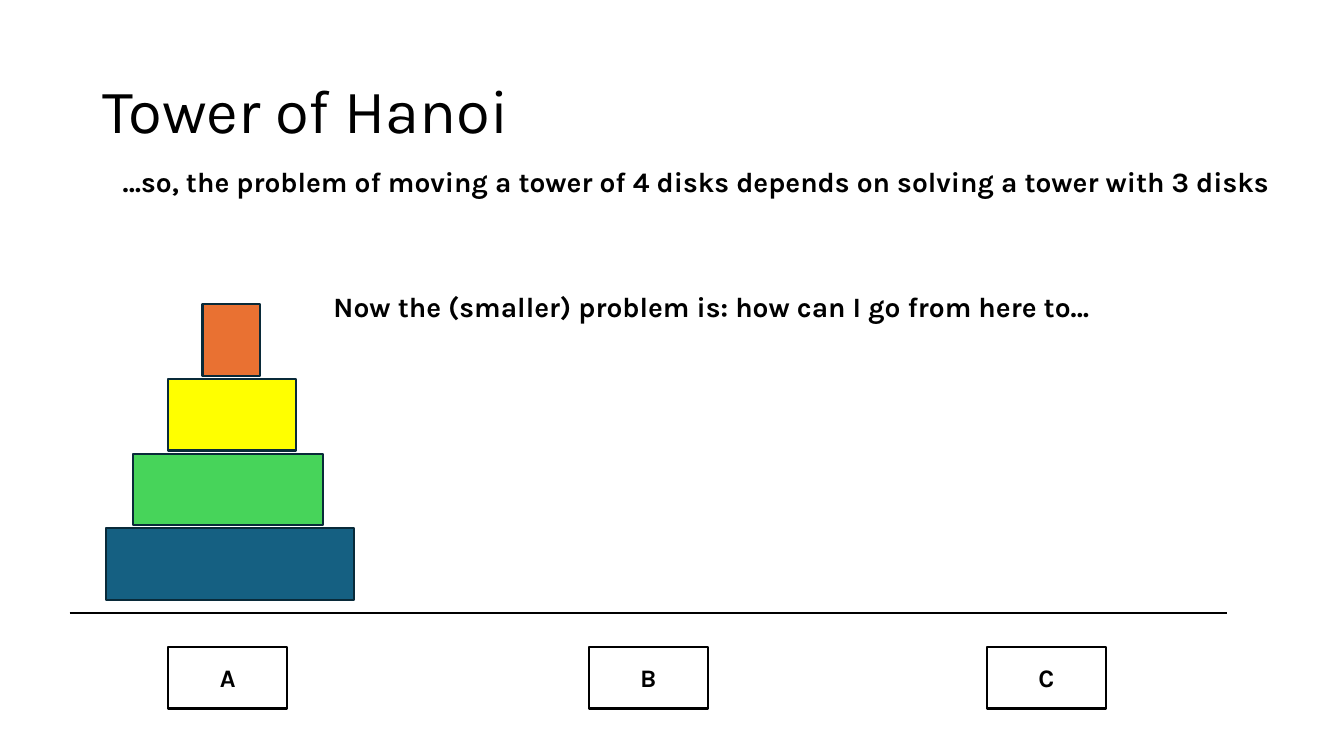
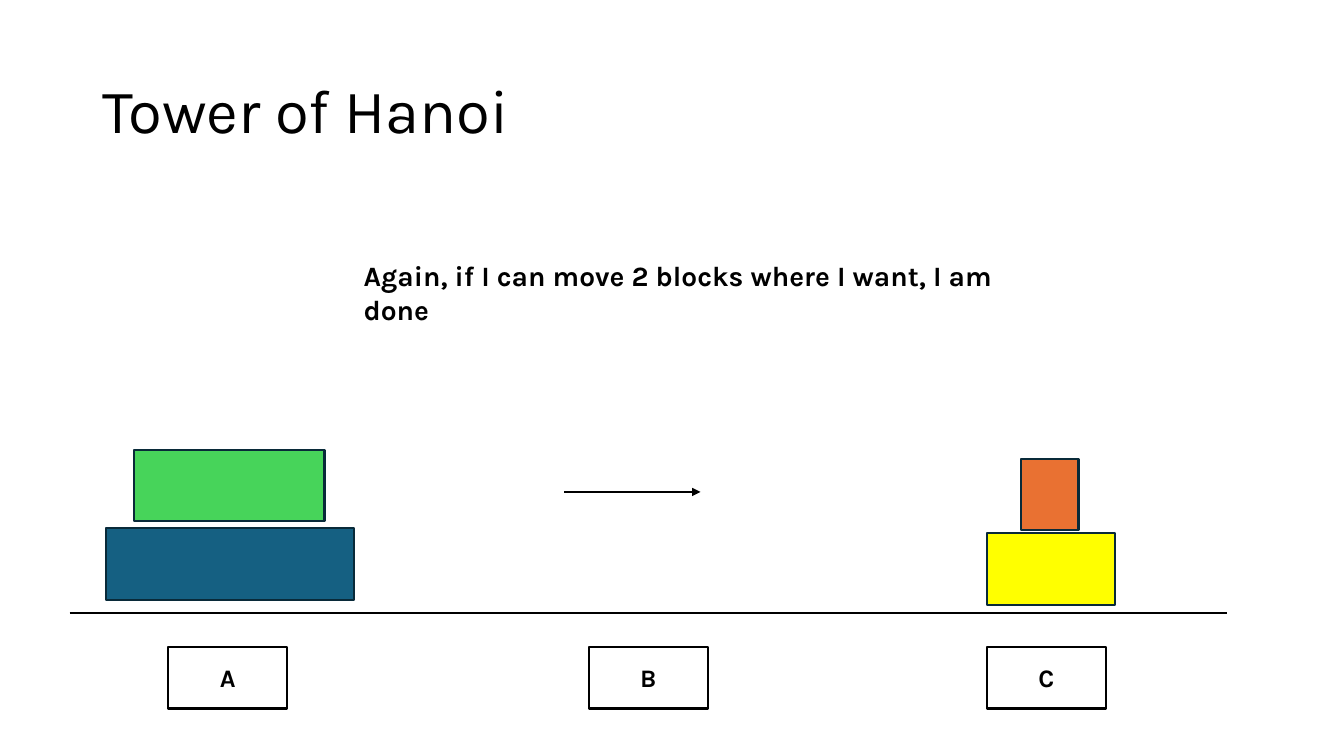
from dataclasses import dataclass
from lxml import etree
from pptx import Presentation
from pptx.dml.color import RGBColor
from pptx.enum.shapes import MSO_CONNECTOR, MSO_SHAPE
from pptx.enum.text import MSO_ANCHOR, MSO_AUTO_SIZE, PP_ALIGN
from pptx.oxml.ns import qn
from pptx.util import Pt

RECTANGLE = MSO_SHAPE.RECTANGLE
STRAIGHT = MSO_CONNECTOR.STRAIGHT
MIDDLE = MSO_ANCHOR.MIDDLE
CENTER = PP_ALIGN.CENTER
LEFT = PP_ALIGN.LEFT
FIT_SHAPE = MSO_AUTO_SIZE.SHAPE_TO_FIT_TEXT


@dataclass(frozen=True)
class Theme:
    font: str = "Karla"
    ink: str = "000000"
    paper: str = "FFFFFF"
    disk_edge: str = "092A39"
    title_size: int = 44
    note_size: int = 20
    label_size: int = 18
    line_width: float = 1.5


THEME = Theme()

TITLE = "Tower of Hanoi"
DISK_HEIGHT = 51.1
DISKS = {
    "largest": (177.1, "156082"),
    "large": (136, "47D45A"),
    "small": (91.4, "FFFF00"),
    "smallest": (41, "E97132"),
}
PEGS = [("A", 120.2), ("B", 420.5), ("C", 704.9)]

SLIDES = [
    {
        "towers": [
            {
                "base": 377.3,
                "step": 53.3,
                "disks": [("largest", 75.6), ("large", 95), ("small", 120.2), ("smallest", 144.7)],
            },
        ],
        "arrows": [],
        "notes": [
            ("…so, the problem of moving a tower of 4 disks depends on solving a tower with 3 disks",
             80.6, 113.8, 849.6),
            ("Now the (smaller) problem is: how can I go from here to…", 231.1, 203, 570.2),
        ],
    },
    {
        "towers": [
            {"base": 377.3, "step": 56.2, "disks": [("largest", 75.6), ("large", 95.8)]},
            {"base": 380.9, "step": 53.3, "disks": [("small", 704.9), ("smallest", 729.4)]},
        ],
        "arrows": [(403.2, 500.4, 351.4)],
        "notes": [
            ("Again, if I can move 2 blocks where I want, I am done", 252.7, 181.4, 493.9),
        ],
    },
]


def color(value):
    return RGBColor.from_string(value)


def write(shape, text, size, bold=True, align=LEFT):
    shape.text_frame.text = text
    paragraph = shape.text_frame.paragraphs[0]
    paragraph.alignment = align
    font = paragraph.runs[0].font
    font.name = THEME.font
    font.size = Pt(size)
    font.bold = bold
    font.color.rgb = color(THEME.ink)
    return paragraph


def add_text(slide, text, left, top, width, height, size, bold=True):
    shape = slide.shapes.add_textbox(Pt(left), Pt(top), Pt(width), Pt(height))
    shape.text_frame.word_wrap = True
    return shape, write(shape, text, size, bold)


def add_title(slide):
    shape, paragraph = add_text(slide, TITLE, 66.2, 28.8, 828, 104.4, THEME.title_size, False)
    shape.text_frame.vertical_anchor = MIDDLE
    paragraph.line_spacing = 0.9


def add_note(slide, text, left, top, width):
    shape, _ = add_text(slide, text, left, top, width, 31.5, THEME.note_size)
    shape.text_frame.auto_size = FIT_SHAPE


def add_box(slide, left, top, width, height, fill, edge):
    shape = slide.shapes.add_shape(RECTANGLE, Pt(left), Pt(top), Pt(width), Pt(height))
    shape.shadow.inherit = False
    shape.fill.solid()
    shape.fill.fore_color.rgb = color(fill)
    shape.line.color.rgb = color(edge)
    shape.line.width = Pt(THEME.line_width)
    return shape


def add_line(slide, start, end, top, arrow=False):
    line = slide.shapes.add_connector(STRAIGHT, Pt(start), Pt(top), Pt(end), Pt(top))
    line.line.color.rgb = color(THEME.ink)
    line.line.width = Pt(THEME.line_width)
    if arrow:
        etree.SubElement(line.line._get_or_add_ln(), qn("a:tailEnd"), type="triangle")
    etree.SubElement(line._element.spPr, qn("a:effectLst"))


def add_tower(slide, tower):
    for level, (name, left) in enumerate(tower["disks"]):
        width, fill = DISKS[name]
        top = tower["base"] - level * tower["step"]
        add_box(slide, left, top, width, DISK_HEIGHT, fill, THEME.disk_edge)


def add_pegs(slide):
    add_line(slide, 49.7, 876.2, 437.8)
    for label, left in PEGS:
        box = add_box(slide, left, 462.2, 85, 43.9, THEME.paper, THEME.ink)
        box.text_frame.vertical_anchor = MIDDLE
        write(box, label, THEME.label_size, align=CENTER)


def build_slide(presentation, content):
    slide = presentation.slides.add_slide(presentation.slide_layouts[6])
    slide.background.fill.solid()
    slide.background.fill.fore_color.rgb = color(THEME.paper)
    add_title(slide)
    for tower in content["towers"]:
        add_tower(slide, tower)
    add_pegs(slide)
    for arrow in content["arrows"]:
        add_line(slide, *arrow, arrow=True)
    for note in content["notes"]:
        add_note(slide, *note)


def main():
    presentation = Presentation()
    presentation.slide_width = Pt(960)
    presentation.slide_height = Pt(540)
    for content in SLIDES:
        build_slide(presentation, content)
    presentation.save("out.pptx")


if __name__ == "__main__":
    main()
